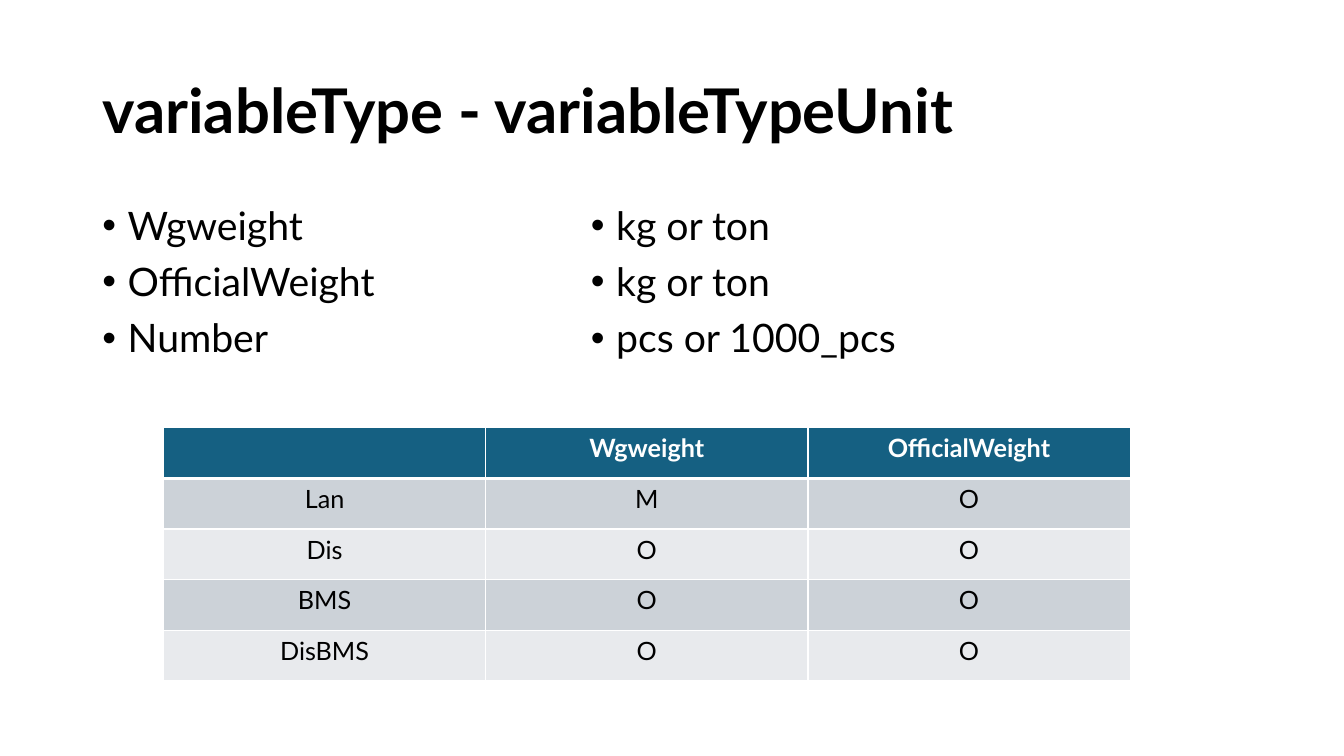
from dataclasses import dataclass

from lxml import etree
from pptx import Presentation
from pptx.dml.color import RGBColor
from pptx.enum.text import MSO_ANCHOR, PP_ALIGN
from pptx.oxml.ns import qn
from pptx.util import Cm, Pt

MIDDLE, TOP = MSO_ANCHOR.MIDDLE, MSO_ANCHOR.TOP
CENTER = PP_ALIGN.CENTER


@dataclass(frozen=True)
class Theme:
    font: str = "Lato"
    ink: str = "000000"
    paper: str = "FFFFFF"
    header: str = "156082"
    bands: tuple = ("CCD2D8", "E8EAED")
    title_size: int = 44
    body_size: int = 28
    table_size: int = 18
    thin: int = 1
    thick: int = 3


class SlideBuilder:
    def __init__(self, slide, theme):
        self.slide = slide
        self.theme = theme

    def style(self, paragraph, size, color, bold=False):
        font = paragraph.font
        font.name, font.size, font.bold = self.theme.font, Pt(size), bold
        font.color.rgb = RGBColor.from_string(color)

    def text_frame(self, left, top, width, height, anchor):
        box = self.slide.shapes.add_textbox(Cm(left), Cm(top), Cm(width), Cm(height))
        frame = box.text_frame
        frame.word_wrap = True
        frame.vertical_anchor = anchor
        return frame

    def title(self, text, *place):
        heading = self.text_frame(*place, MIDDLE).paragraphs[0]
        heading.text = text
        heading.line_spacing = 0.9
        self.style(heading, self.theme.title_size, self.theme.ink, bold=True)

    def bullets(self, items, *place):
        frame = self.text_frame(*place, TOP)
        frame.text = "\n".join(items)
        for index, item in enumerate(frame.paragraphs):
            item.line_spacing = 0.9
            if index:
                item.space_before = Pt(10)
            properties = item._p.get_or_add_pPr()
            properties.set("marL", str(Cm(0.64)))
            properties.set("indent", str(Cm(-0.64)))
            etree.SubElement(properties, qn("a:buFont"), typeface="Arial")
            etree.SubElement(properties, qn("a:buChar"), char="•")
            self.style(item, self.theme.body_size, self.theme.ink)

    def borders(self, cell, top, bottom):
        properties = cell._tc.get_or_add_tcPr()
        widths = {"L": self.theme.thin, "R": self.theme.thin, "T": top, "B": bottom}
        for side, width in widths.items():
            line = etree.SubElement(properties, qn(f"a:ln{side}"), w=str(Pt(width)))
            fill = etree.SubElement(line, qn("a:solidFill"))
            etree.SubElement(fill, qn("a:srgbClr"), val=self.theme.paper)

    def table(self, rows, left, top, width, height):
        """Draw rows as a banded grid whose first row is the header."""
        theme = self.theme
        grid = self.slide.shapes.add_table(
            len(rows), len(rows[0]), Cm(left), Cm(top), Cm(width), Cm(height)).table
        for r, row in enumerate(rows):
            is_header = r == 0
            band = theme.header if is_header else theme.bands[(r - 1) % 2]
            for c, value in enumerate(row):
                cell = grid.cell(r, c)
                self.borders(cell, theme.thick if r == 1 else theme.thin,
                             theme.thick if is_header else theme.thin)
                cell.fill.solid()
                cell.fill.fore_color.rgb = RGBColor.from_string(band)
                label = cell.text_frame.paragraphs[0]
                label.text = value
                label.alignment = CENTER
                self.style(label, theme.table_size,
                           theme.paper if is_header else theme.ink, is_header)


def main():
    presentation = Presentation()
    presentation.slide_width, presentation.slide_height = Cm(33.87), Cm(19.05)
    slide = presentation.slides.add_slide(presentation.slide_layouts[6])
    builder = SlideBuilder(slide, Theme())

    builder.title("variableType - variableTypeUnit", 2.33, 1.01, 29.92, 3.68)
    builder.bullets(["Wgweight", "OfficialWeight", "Number"], 2.33, 5.07, 14.4, 12.09)
    builder.bullets(["kg or ton", "kg or ton", "pcs or 1000_pcs"],
                    14.64, 5.07, 18.85, 12.09)
    builder.table([
        ("", "Wgweight", "OfficialWeight"),
        ("Lan", "M", "O"),
        ("Dis", "O", "O"),
        ("BMS", "O", "O"),
        ("DisBMS", "O", "O"),
    ], 4.12, 10.78, 24.36, 6.38)

    presentation.save("out.pptx")


if __name__ == "__main__":
    main()
